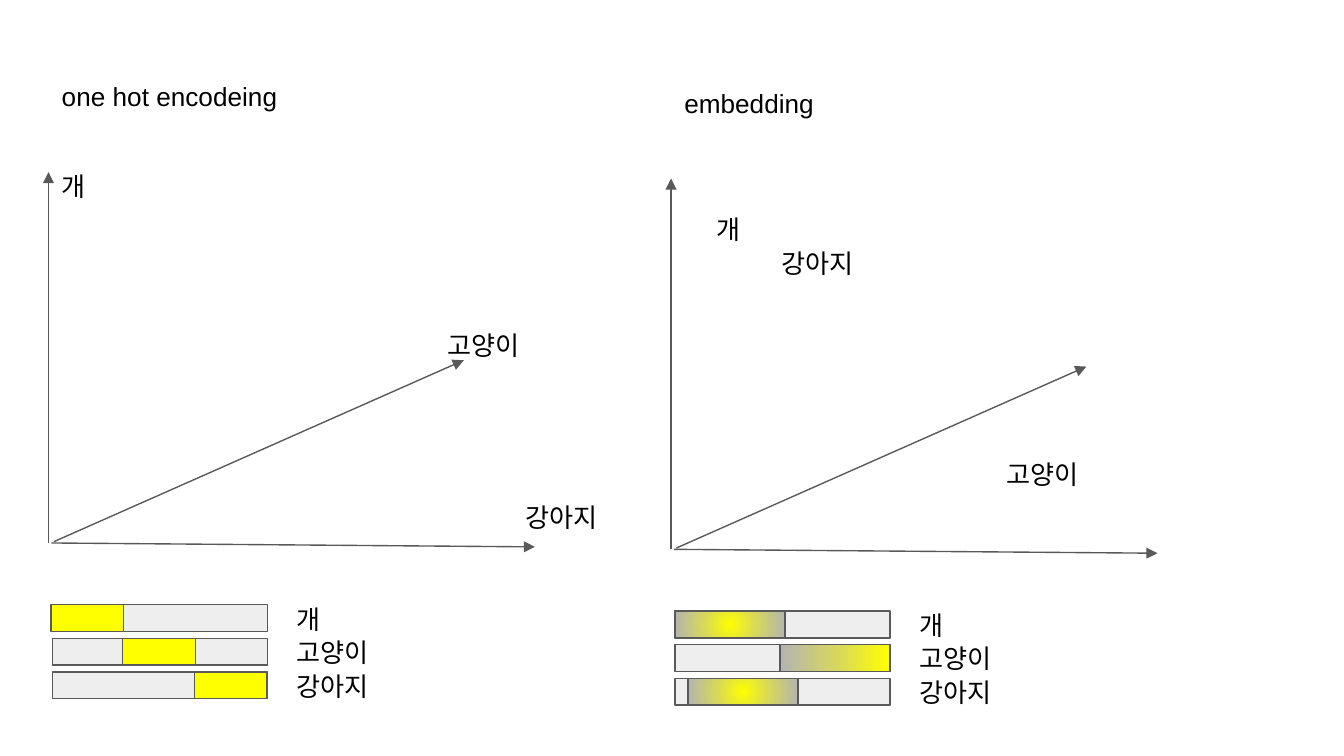
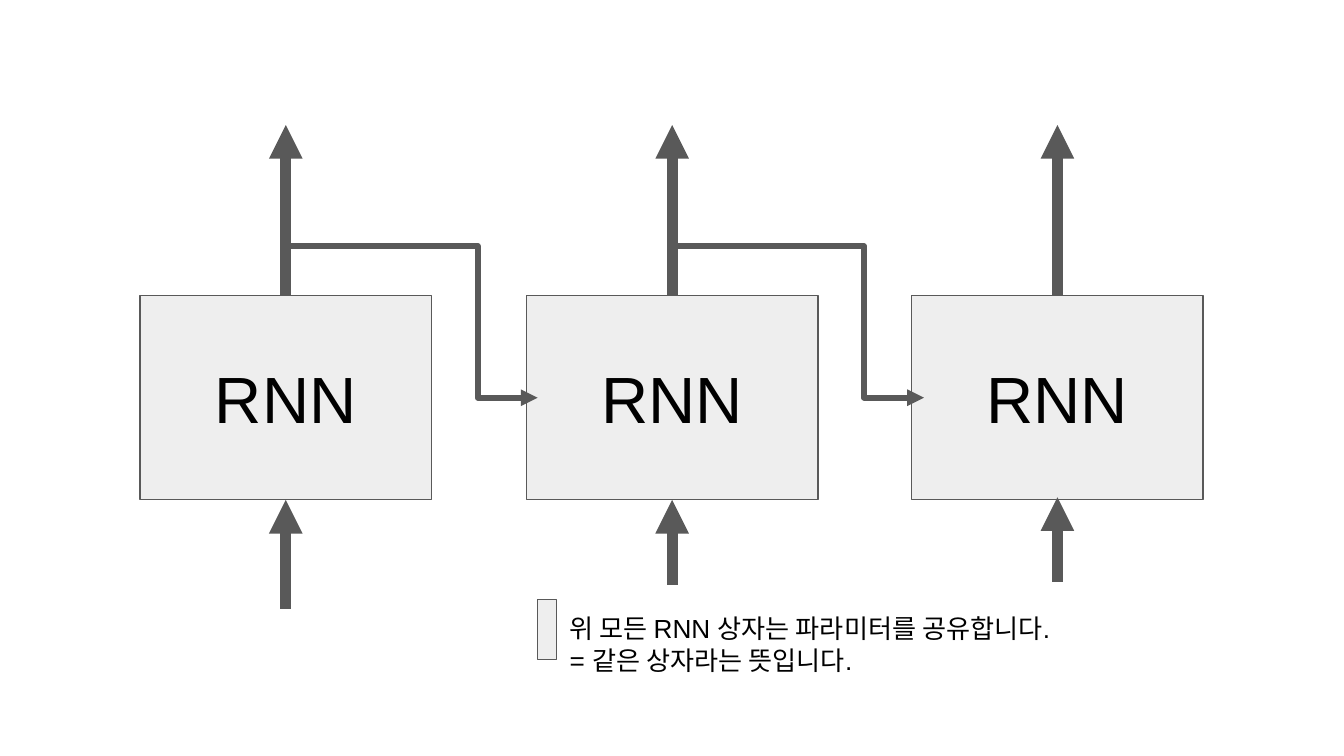
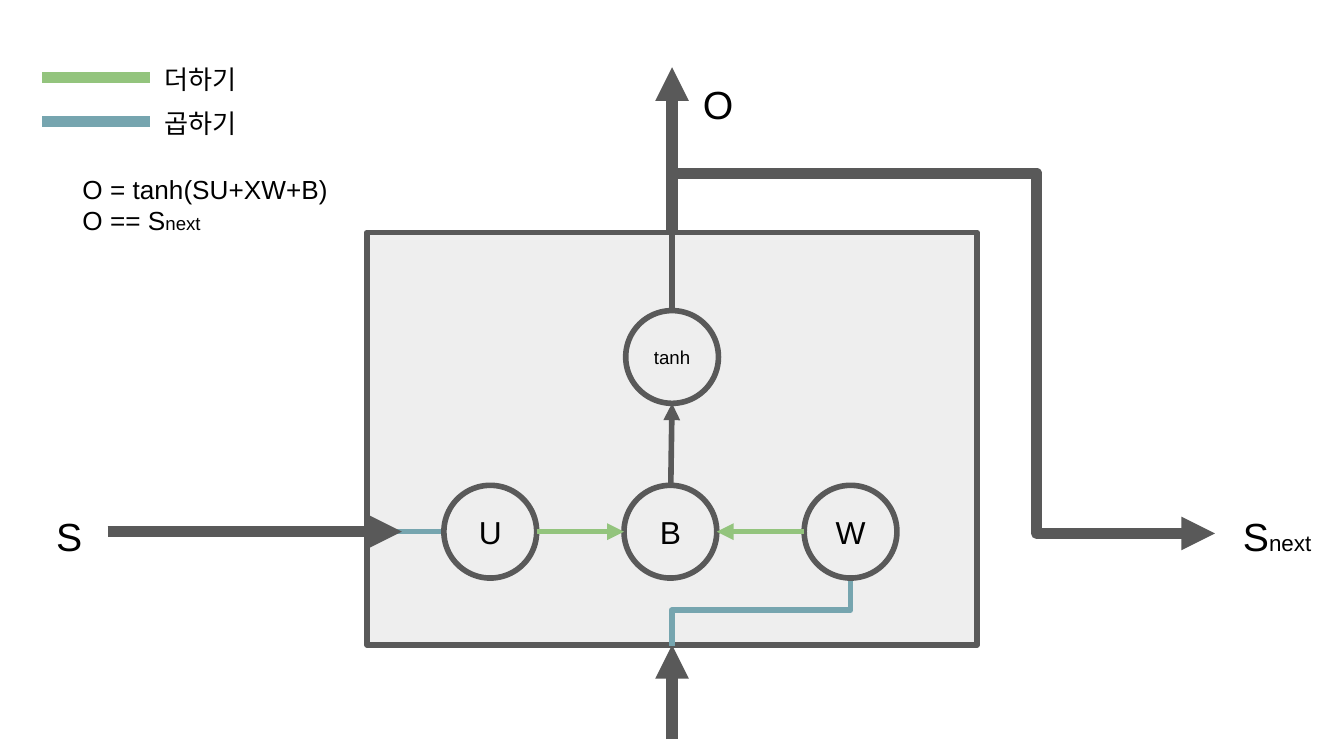
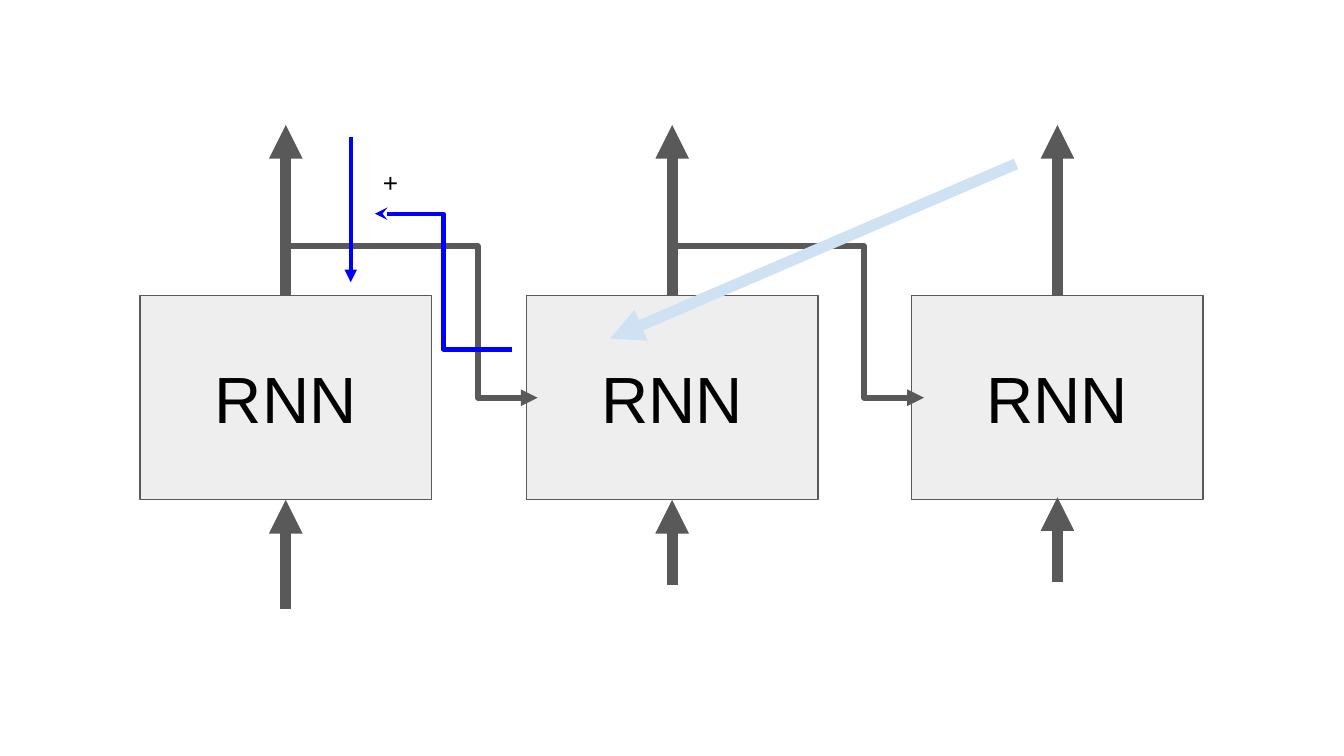
from dataclasses import dataclass

from lxml import etree
from pptx import Presentation
from pptx.dml.color import RGBColor
from pptx.enum.shapes import MSO_CONNECTOR, MSO_SHAPE
from pptx.enum.text import MSO_ANCHOR, PP_ALIGN
from pptx.oxml import parse_xml
from pptx.oxml.ns import nsdecls, qn
from pptx.util import Pt

RECT = MSO_SHAPE.RECTANGLE
OVAL = MSO_SHAPE.OVAL
LINE = MSO_CONNECTOR.STRAIGHT
ELBOW = MSO_CONNECTOR.ELBOW
TOP = MSO_ANCHOR.TOP
MIDDLE = MSO_ANCHOR.MIDDLE
LEFT = PP_ALIGN.LEFT
CENTER = PP_ALIGN.CENTER


@dataclass(frozen=True)
class Theme:
    font: str = "Arial"
    ink: str = "000000"
    edge: str = "595959"
    pale: str = "EEEEEE"
    hot: str = "FFFF00"
    add: str = "93C47D"
    mul: str = "76A5AF"
    back: str = "0000FF"
    faint: str = "CFE2F3"
    soft: tuple = ((0, "FFFF00"), (46, "D9D95A"), (100, "B3B3B3"))
    thin: float = 0.75
    mid: float = 3
    thick: float = 6
    body: float = 14
    small: float = 10
    sub: float = 12
    node: float = 17
    sign: float = 21
    huge: float = 35
    inset: float = 7.2


T = Theme()


def color(code):
    return RGBColor.from_string(code)


def write(frame, lines, size, align=LEFT, anchor=TOP):
    frame.word_wrap = True
    frame.vertical_anchor = anchor
    frame.margin_left = frame.margin_right = Pt(T.inset)
    frame.margin_top = frame.margin_bottom = Pt(T.inset)
    for i, runs in enumerate(lines):
        para = frame.add_paragraph() if i else frame.paragraphs[0]
        para.alignment = align
        para.font.name = T.font
        para.font.size = Pt(size)
        para.font.color.rgb = color(T.ink)
        for words, own in runs:
            run = para.add_run()
            run.text = words
            if own:
                run.font.size = Pt(own)


def label(slide, box, *lines, size=T.body):
    frame = slide.shapes.add_textbox(*map(Pt, box)).text_frame
    rows = [[(row, None)] if isinstance(row, str) else row for row in lines]
    write(frame, rows, size)


def block(slide, box, fill=T.pale, width=T.thin, kind=RECT, text="", size=T.body):
    shape = slide.shapes.add_shape(kind, *map(Pt, box))
    shape.shadow.inherit = False
    shape.fill.solid()
    shape.fill.fore_color.rgb = color(fill)
    shape.line.color.rgb = color(T.edge)
    shape.line.width = Pt(width)
    if text:
        write(shape.text_frame, [[(text, None)]], size, CENTER, MIDDLE)
    return shape


def blend(shape, round_):
    stops = "".join(
        f'<a:gs pos="{at * 1000}"><a:srgbClr val="{code}"/></a:gs>' for at, code in T.soft
    )
    if round_:
        way = '<a:path path="circle"><a:fillToRect l="50000" t="50000" r="50000" b="50000"/></a:path>'
    else:
        way = '<a:lin ang="10800000" scaled="0"/>'
    grad = parse_xml(f'<a:gradFill {nsdecls("a")}><a:gsLst>{stops}</a:gsLst>{way}</a:gradFill>')
    props = shape._element.spPr
    props.replace(props.find(qn("a:solidFill")), grad)


def wire(slide, start, end, width=T.thin, code=T.edge, tail=None, head=None, bend=None, turn=0):
    kind = ELBOW if bend else LINE
    conn = slide.shapes.add_connector(kind, *map(Pt, (*start, *end)))
    conn.line.color.rgb = color(code)
    conn.line.width = Pt(width)
    props = conn._element.spPr
    line = props.find(qn("a:ln"))
    for tag, tip in (("a:headEnd", head), ("a:tailEnd", tail)):
        if tip:
            etree.SubElement(line, qn(tag), type=tip)
    if bend:
        marks = props.find(qn("a:prstGeom")).find(qn("a:avLst"))
        etree.SubElement(marks, qn("a:gd"), name="adj1", fmla=f"val {round(bend * 100000)}")
    if turn:
        props.find(qn("a:xfrm")).set("rot", str(turn * 60000))
    etree.SubElement(props, qn("a:effectLst"))


def arrow(slide, start, end, width=T.thin, code=T.edge):
    wire(slide, start, end, width, code, tail="triangle")


def space(slide, left, top, title, words):
    label(slide, (left, top, 188.6, 44.6), title)
    for start, end in (
        ((0, 254.9), (0, 56.2)),
        ((1.5, 254.9), (260.6, 257)),
        ((2.9, 254.2), (222.5, 157)),
    ):
        arrow(slide, (left + start[0], top + start[1]), (left + end[0], top + end[1]))
    for word, x, y in words:
        label(slide, (left + x, top + y, 59, 29.5), word)


def codes(slide, left, top, cells):
    step, high = 18, 14.4
    for i, (word, shift, wide, style) in enumerate(cells):
        y = top + i * step
        block(slide, (left, y, 115.2, high))
        cell = block(slide, (left + shift, y, wide, high), T.hot)
        if style != "flat":
            blend(cell, style == "round")
        label(slide, (left + 123.8, y - 8.2, 59, 17.3), word)


def vectors(slide):
    dog, cat, pup = "개", "고양이", "강아지"
    space(slide, 26, 36, "one hot encodeing", ((dog, 0, 48.2), (cat, 206.6, 133.2), (pup, 248.4, 225.4)))
    hots = [(word, i * 38.4 - 0.7, 38.9, "flat") for i, word in enumerate((dog, cat, pup))]
    codes(slide, 28.1, 324, hots)
    space(slide, 359.5, 39.4, "embedding", ((dog, 17.3, 67.9), (cat, 172.8, 198.9), (pup, 51.8, 85.9)))
    soft = ((dog, 0, 59, "round"), (cat, 56.2, 59, "line"), (pup, 7, 59, "round"))
    codes(slide, 361.6, 327.4, soft)


def cell(slide, left, top, foot, gap):
    wide, high = 156.2, 109.4
    mid = left + wide / 2
    block(slide, (left, top, wide, high), text="RNN", size=T.huge)
    arrow(slide, (mid, top), (mid, top - 91.4), T.thick)
    tip = top + high - gap
    arrow(slide, (mid, tip + foot), (mid, tip), T.thick)


def link(slide, left, top):
    wire(slide, (left + 78.2, top - 26.6), (left + 206.6, top + 54.7), T.mid, bend=0.8)
    arrow(slide, (left + 189.8, top + 54.7), (left + 213, top + 54.7), T.mid)


def chain(slide):
    top = 158.4
    lefts = (75, 282, 488.4)
    for left, foot, gap in zip(lefts, (58.3, 45.4, 45.4), (0, 0, 1.4)):
        cell(slide, left, top, foot, gap)
    for left in lefts[:-1]:
        link(slide, left, top)


def note(slide, left, top):
    block(slide, (left, top, 10.1, 32.4))
    label(
        slide,
        (left + 10.1, top, 384.5, 44.6),
        "위 모든 RNN 상자는 파라미터를 공유합니다.",
        "= 같은 상자라는 뜻입니다.",
    )


def shared(slide):
    chain(slide)
    note(slide, 288, 321.1)


def legend(slide, left, top):
    for i, (word, code) in enumerate((("더하기", T.add), ("곱하기", T.mul))):
        y = top + i * 23.6
        wire(slide, (left, y), (left + 57.6, y), T.thick, code)
        label(slide, (left + 58.3, y - 15, 58.3, 30.2), word)
    label(
        slide,
        (left + 14.4, top + 43.9, 177.8, 69.1),
        "O = tanh(SU+XW+B)",
        [("O == S", None), ("next", T.small)],
    )


def inner(slide, left, top):
    wide, high, disc = 326.9, 221, 49.7
    mid, base = left + wide / 2, top + high
    row, cap = top + 135.4, top + 41.8
    axis = row + disc / 2
    block(slide, (left, top, wide, high), width=T.mid)
    arrow(slide, (mid, top), (mid, 36), T.thick)
    wire(slide, (mid + 1.4, 92.9), (650.9, 285.8), T.thick, tail="triangle", bend=0.67)
    arrow(slide, (mid, 396), (mid, base), T.thick)
    gap = 96.5
    spots = [mid - 0.9 + k * gap - disc / 2 for k in (-1, 0, 1)]
    wire(slide, (left - 1.4, axis), (spots[0], axis), T.mid, T.mul)
    wire(slide, (389.7, 280), (425.9, 375.8), T.mid, T.mul, bend=0.53, turn=270)
    for x, name in zip(spots, "UBW"):
        block(slide, (x, row, disc, disc), width=T.mid, kind=OVAL, text=name, size=T.node)
    block(slide, (mid - disc / 2, cap, disc, disc), width=T.mid, kind=OVAL, text="tanh", size=T.small)
    arrow(slide, (spots[0] + disc, axis), (spots[1], axis), T.mid, T.add)
    arrow(slide, (spots[2], axis), (spots[1] + disc, axis), T.mid, T.add)
    arrow(slide, (mid - 0.7, row), (mid, cap + disc), T.mid)
    wire(slide, (mid, cap), (mid, top), T.mid)
    arrow(slide, (57.6, axis), (215.3, axis), T.thick)


def detail(slide):
    inner(slide, 196.6, 124.6)
    legend(slide, 22.7, 41.6)
    label(slide, (23, 267.1, 28.8, 36), "S", size=T.sign)
    label(slide, (658.8, 267.1, 52.6, 36), [("S", None), ("next", T.sub)], size=T.sign)
    label(slide, (369.4, 36, 32.4, 36), "O", size=T.sign)


def reverse(slide):
    chain(slide)
    blue = 2.25
    arrow(slide, (187.9, 73.4), (187.9, 151.2), blue, T.back)
    wire(slide, (200.9, 114.5), (274.3, 187.2), blue, T.back, head="stealth", bend=0.5)
    label(slide, (198, 82.1, 25.9, 30.2), "+")
    arrow(slide, (544.3, 87.8), (326.9, 181.4), T.thick, T.faint)


def main():
    deck = Presentation()
    deck.slide_width, deck.slide_height = Pt(720), Pt(405)
    blank = deck.slide_layouts[6]
    for draw in (vectors, shared, detail, reverse):
        draw(deck.slides.add_slide(blank))
    deck.save("out.pptx")


if __name__ == "__main__":
    main()
